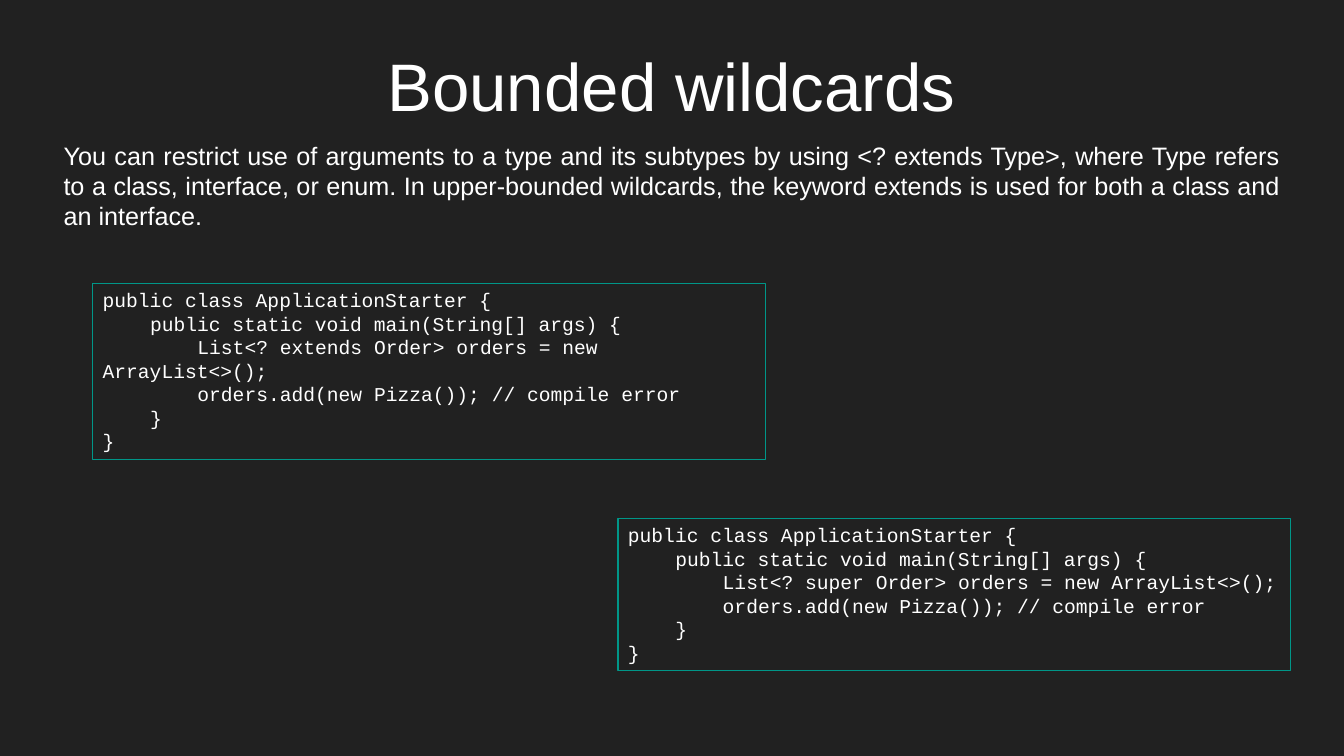
from dataclasses import dataclass

from pptx import Presentation
from pptx.dml.color import RGBColor
from pptx.enum.shapes import MSO_SHAPE
from pptx.enum.text import MSO_ANCHOR, MSO_AUTO_SIZE, PP_ALIGN
from pptx.util import Inches, Pt
from lxml import etree

RECT = MSO_SHAPE.RECTANGLE
TOP, BOTTOM = MSO_ANCHOR.TOP, MSO_ANCHOR.BOTTOM
NO_FIT = MSO_AUTO_SIZE.NONE
LEFT, CENTER, JUSTIFY = PP_ALIGN.LEFT, PP_ALIGN.CENTER, PP_ALIGN.JUSTIFY
A = "{http://schemas.openxmlformats.org/drawingml/2006/main}"


@dataclass(frozen=True)
class Theme:
    background: RGBColor = RGBColor(0x21, 0x21, 0x21)
    text: RGBColor = RGBColor(0xFF, 0xFF, 0xFF)
    border: RGBColor = RGBColor(0x00, 0x96, 0x88)
    border_width: int = Pt(0.75)
    sans: str = "Arial"
    mono: str = "Courier New"
    title_size: int = Pt(48)
    body_size: int = Pt(18)
    code_size: int = Pt(14)


@dataclass(frozen=True)
class CodeBox:
    left: float
    top: float
    height: float
    bound: str


THEME = Theme()
CODE_WIDTH = 6.67
CODE_INDENT = Inches(0.47)
CODE_BOXES = [
    CodeBox(0.92, 2.81, 1.75, "extends"),
    CodeBox(6.13, 5.14, 1.51, "super"),
]
BODY = (
    "You can restrict use of arguments to a type and its subtypes by using "
    "<? extends Type>, where Type refers to a class, interface, or enum. "
    "In upper-bounded wildcards, the keyword extends is used for both "
    "a class and an interface."
)


def apply(target, values: dict) -> None:
    for name, value in values.items():
        setattr(target, name, value)


def place(sp, left: float, top: float, width: float, height: float) -> None:
    apply(sp, {"left": Inches(left), "top": Inches(top),
               "width": Inches(width), "height": Inches(height)})


def write(p, text: str, font: str, size: int, align,
          after: int = 0, indent: int = 0) -> None:
    r = p.add_run()
    r.text = text
    apply(r.font, {"name": font, "size": size})
    r.font.color.rgb = THEME.text
    apply(p, {"alignment": align, "line_spacing": 1.0,
              "space_before": Pt(0), "space_after": after})
    pPr = p._p.get_or_add_pPr()
    pPr.set("marL", "0")
    pPr.set("indent", str(indent))
    etree.SubElement(pPr, A + "buNone")


def code_lines(bound: str) -> list[tuple[int, str]]:
    return [
        (0, "public class ApplicationStarter {"),
        (1, "public static void main(String[] args) {"),
        (2, f"List<? {bound} Order> orders = new ArrayList<>();"),
        (2, "orders.add(new Pizza()); // compile error"),
        (1, "}"),
        (0, "}"),
    ]


def draw_code(slide, box: CodeBox) -> None:
    sp = slide.shapes.add_shape(RECT, Inches(box.left), Inches(box.top),
                                Inches(CODE_WIDTH), Inches(box.height))
    sp.shadow.inherit = False
    sp.fill.background()
    sp.line.color.rgb = THEME.border
    sp.line.width = THEME.border_width
    tf = sp.text_frame
    apply(tf, {"word_wrap": True, "vertical_anchor": TOP})
    for i, (level, text) in enumerate(code_lines(box.bound)):
        p = tf.add_paragraph() if i else tf.paragraphs[0]
        write(p, text, THEME.mono, THEME.code_size, LEFT,
              indent=level * CODE_INDENT)


prs = Presentation()
prs.slide_width, prs.slide_height = Inches(13.33), Inches(7.5)
slide = prs.slides.add_slide(prs.slide_layouts[1])
slide.background.fill.solid()
slide.background.fill.fore_color.rgb = THEME.background

title, body = slide.placeholders
place(title, 0.45, 0.18, 12.42, 1.16)
inset = Inches(0.1)
apply(title.text_frame, {
    "auto_size": NO_FIT, "vertical_anchor": BOTTOM,
    "margin_left": inset, "margin_right": inset,
    "margin_top": inset, "margin_bottom": inset,
})
write(title.text_frame.paragraphs[0], "Bounded wildcards",
      THEME.sans, THEME.title_size, CENTER)

place(body, 0.53, 1.34, 12.27, 1.84)
apply(body.text_frame, {"auto_size": NO_FIT, "vertical_anchor": TOP})
write(body.text_frame.paragraphs[0], BODY, THEME.sans, THEME.body_size,
      JUSTIFY, after=Pt(16))

for box in CODE_BOXES:
    draw_code(slide, box)

prs.save("out.pptx")
